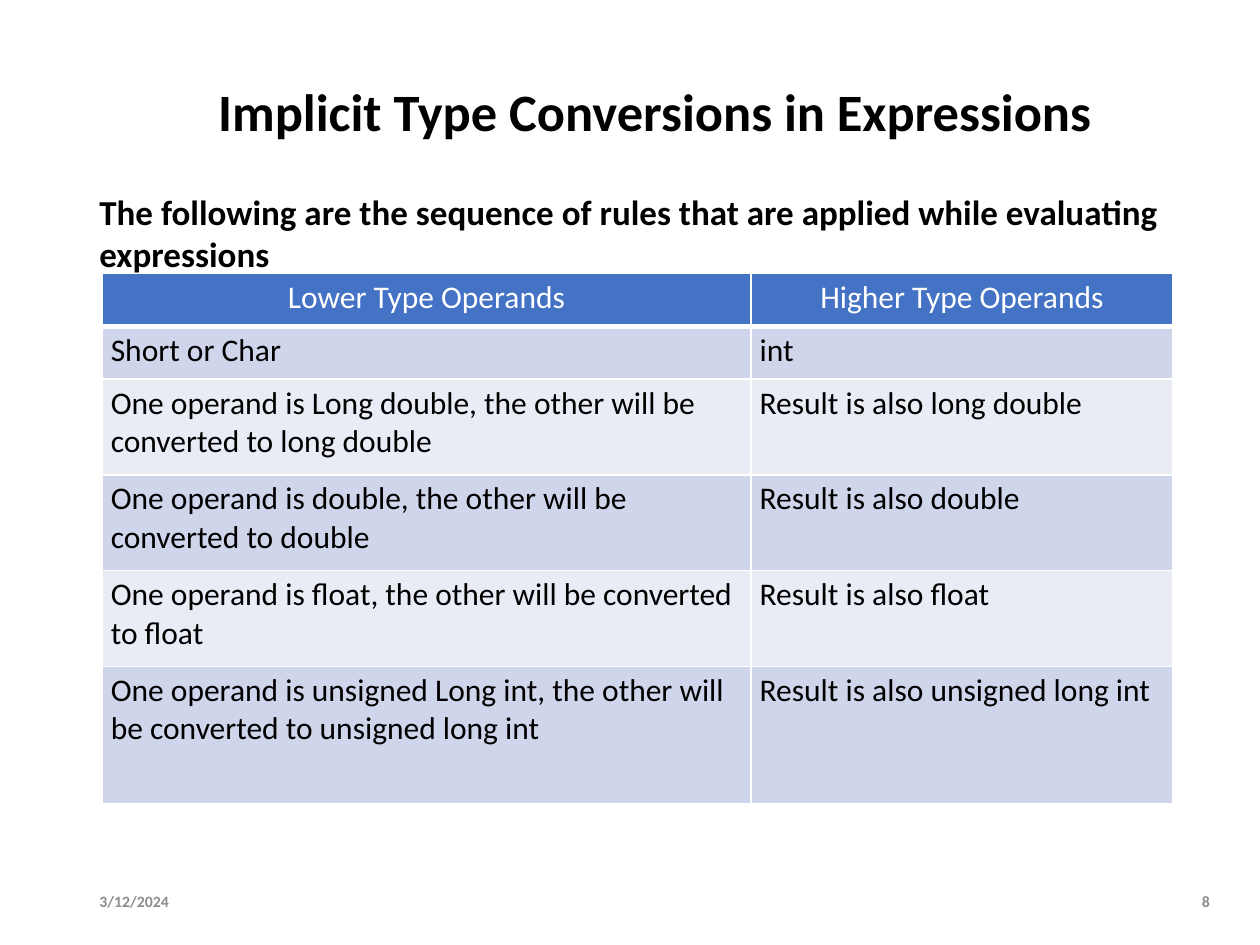
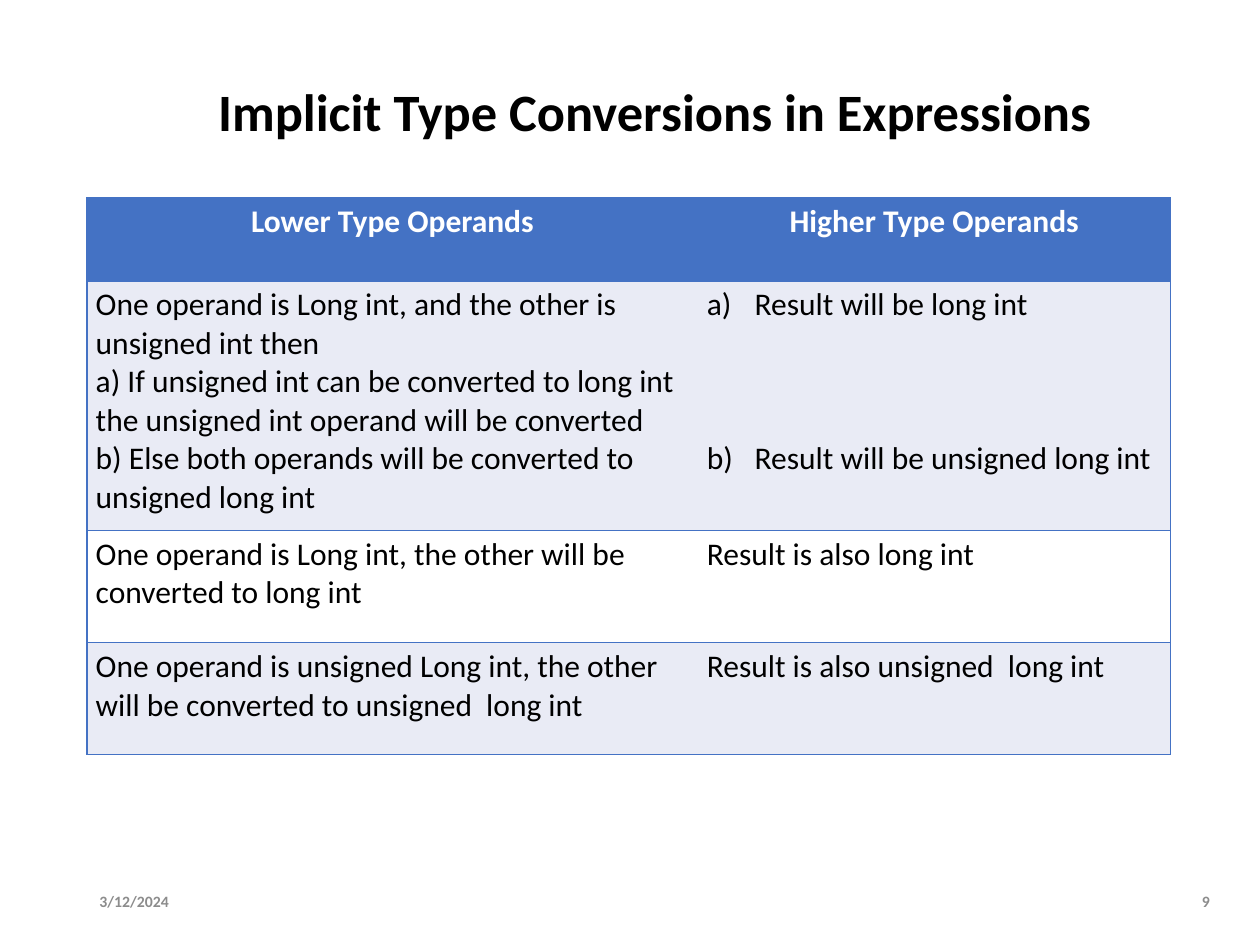
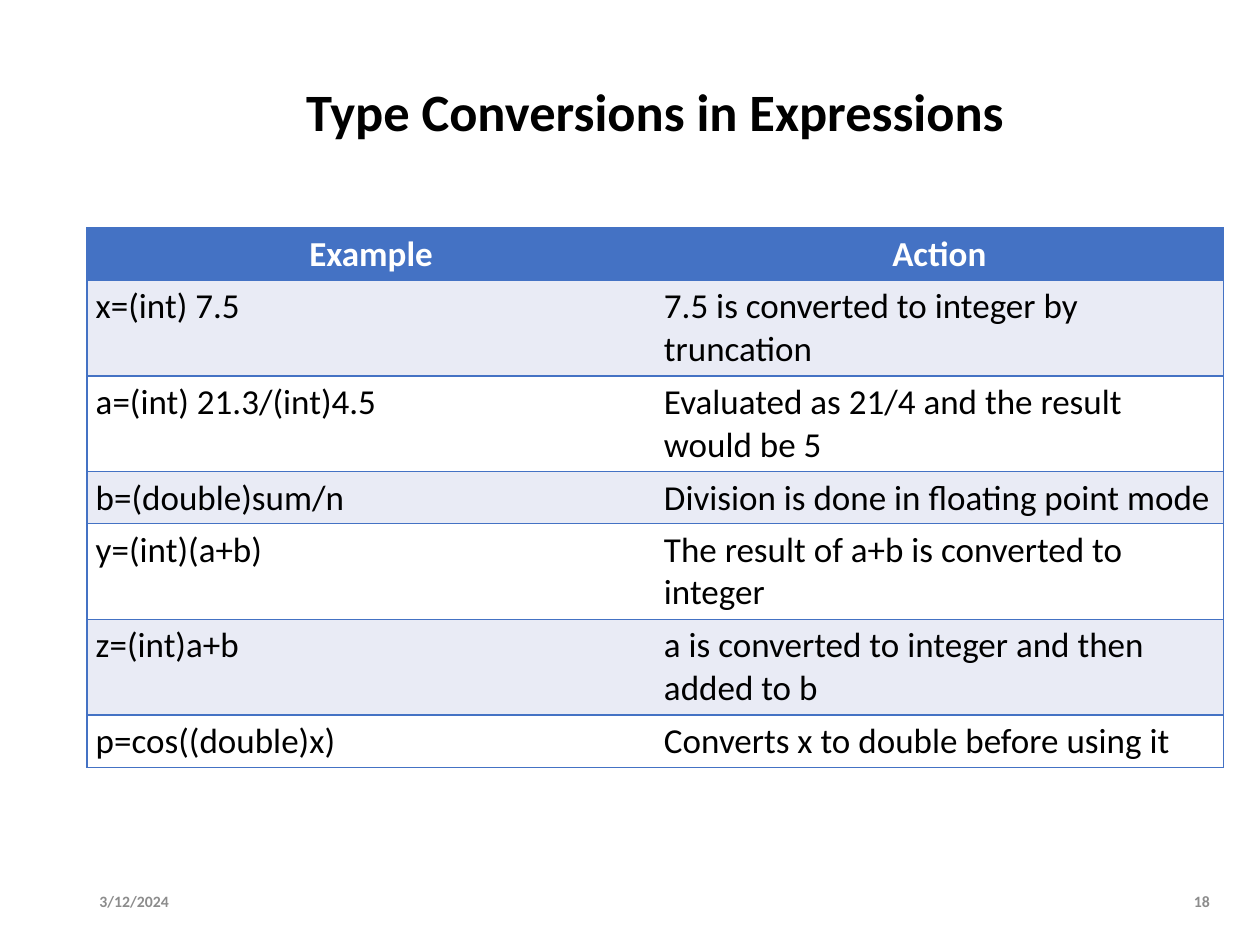
from lxml import etree
from pptx import Presentation
from pptx.dml.color import RGBColor
from pptx.enum import text
from pptx.oxml import ns
from pptx.util import Inches, Pt

FONT = "Calibri"
BLACK = RGBColor(0x00, 0x00, 0x00)
WHITE = RGBColor(0xFF, 0xFF, 0xFF)
GRAY = RGBColor(0x8C, 0x8C, 0x8C)
BLUE = RGBColor(0x44, 0x72, 0xC4)
MID_BLUE = RGBColor(0xCF, 0xD5, 0xEA)
PALE_BLUE = RGBColor(0xE9, 0xEB, 0xF5)

LEFT, CENTER, RIGHT = text.PP_ALIGN.LEFT, text.PP_ALIGN.CENTER, text.PP_ALIGN.RIGHT
DATE = "3/12/2024"

GRID_STYLE = {"bands": (MID_BLUE, PALE_BLUE), "line": WHITE, "inner": True,
              "header_rule": 3, "header_bold": False}
ROWS_STYLE = {"bands": (PALE_BLUE, WHITE), "line": BLUE, "inner": False,
              "header_rule": 1, "header_bold": True}

# A cell is a string, or a list of paragraphs; a tuple of strings is a lettered list.
SLIDES = [
    {
        "title": "Implicit Type Conversions in Expressions",
        "number": "8",
        "intro": "The following are the sequence of rules that are applied while "
                 "evaluating expressions",
        "style": GRID_STYLE, "origin": (0.81, 2.17), "size": 18,
        "columns": [5.15, 3.35],
        "heights": [0.42, 0.42, 0.76, 0.76, 0.76, 1.09],
        "rows": [
            ("Lower Type Operands", "Higher Type Operands"),
            ("Short or Char", "int"),
            ("One operand is Long double, the other will be converted to long double",
             "Result is also long double"),
            ("One operand is double, the other will be converted to double",
             "Result is also double"),
            ("One operand is float, the other will be converted to float",
             "Result is also float"),
            ("One operand is unsigned Long int, the other will be converted to "
             "unsigned long int",
             "Result is also unsigned long int"),
        ],
    },
    {
        "title": "Implicit Type Conversions in Expressions",
        "number": "9",
        "style": ROWS_STYLE, "origin": (0.69, 1.57), "size": 18,
        "columns": [4.85, 3.75],
        "heights": [0.66, 1.98, 0.89, 0.89],
        "rows": [
            ("Lower Type Operands", "Higher Type Operands"),
            (["One operand is Long int, and the other is unsigned int then\n"
              "a) If unsigned int can be converted to long int the unsigned int "
              "operand will be converted",
              "b) Else both operands will be converted to unsigned long int"],
             ("Result will be long int", "Result will be unsigned long int")),
            ("One operand is Long int, the other will be converted to long int",
             "Result is also long int"),
            ("One operand is unsigned Long int, the other will be converted to "
             "unsigned  long int",
             "Result is also unsigned  long int"),
        ],
    },
    {
        "title": "Type Conversions in Expressions",
        "number": "18",
        "style": ROWS_STYLE, "origin": (0.69, 1.81), "size": 20,
        "columns": [4.51, 4.51],
        "heights": [0.41, 0.76, 0.76, 0.41, 0.76, 0.76, 0.41],
        "rows": [
            ("Example", "Action"),
            ("x=(int) 7.5", "7.5 is converted to integer by truncation"),
            ("a=(int) 21.3/(int)4.5", "Evaluated as 21/4 and the result would be 5"),
            ("b=(double)sum/n", "Division is done in floating point mode"),
            ("y=(int)(a+b)", "The result of a+b is converted to integer"),
            ("z=(int)a+b", "a is converted to integer and then added to b"),
            ("p=cos((double)x)", "Converts x to double before using it"),
        ],
    },
]


def write(para, words, size, color, bold=False, align=LEFT):
    """Fill a paragraph; a newline in the words becomes a line break."""
    para.alignment = align
    for index, line in enumerate(words.split("\n")):
        if index:
            para.add_line_break()
        span = para.add_run()
        span.text = line
        span.font.name = FONT
        span.font.size = Pt(size)
        span.font.bold = bold
        span.font.color.rgb = color


def add_text(page, place, words, size, color, align=LEFT,
             anchor=text.MSO_ANCHOR.MIDDLE):
    box = page.shapes.add_textbox(*map(Inches, place))
    frame = box.text_frame
    frame.word_wrap = True
    frame.vertical_anchor = anchor
    write(frame.paragraphs[0], words, size, color, True, align)
    return frame


def letter_item(para):
    """Number a paragraph a), b), ... with a hanging indent."""
    properties = para._p.get_or_add_pPr()
    properties.set("marL", str(Inches(0.38)))
    properties.set("indent", str(-Inches(0.38)))
    etree.SubElement(properties, ns.qn("a:buFont"), typeface="+mj-lt")
    etree.SubElement(properties, ns.qn("a:buAutoNum"), type="alphaLcParenR")


def set_borders(cell, color, widths):
    """Draw the L, R, T and B edges; a width of 0 hides an edge."""
    properties = cell._tc.get_or_add_tcPr()
    for index, (side, width) in enumerate(zip("LRTB", widths)):
        line = etree.Element(ns.qn("a:ln" + side), w=str(Pt(width)))
        properties.insert(index, line)
        if width:
            fill = etree.SubElement(line, ns.qn("a:solidFill"))
            etree.SubElement(fill, ns.qn("a:srgbClr"), val=str(color))
        else:
            etree.SubElement(line, ns.qn("a:noFill"))


def fill_cell(cell, content, size, is_header, header_bold):
    cell.margin_left = cell.margin_right = Inches(0.07)
    cell.margin_top = cell.margin_bottom = Inches(0.04)
    frame = cell.text_frame
    for index, words in enumerate([content] if isinstance(content, str) else content):
        para = frame.add_paragraph() if index else frame.paragraphs[0]
        if is_header:
            write(para, words, size, WHITE, header_bold, CENTER)
        else:
            write(para, words, size, BLACK)
        if isinstance(content, tuple):
            if index:
                para.space_before = Pt(66)  # level with b) in the left column
            letter_item(para)


def add_operand_table(page, slide):
    style, columns, heights = slide["style"], slide["columns"], slide["heights"]
    place = (*slide["origin"], sum(columns), sum(heights))
    table = page.shapes.add_table(len(heights), len(columns),
                                  *map(Inches, place)).table
    for column, width in zip(table.columns, columns):
        column.width = Inches(width)
    last = len(columns) - 1
    for r, (height, contents) in enumerate(zip(heights, slide["rows"])):
        table.rows[r].height = Inches(height)
        for c, content in enumerate(contents):
            cell = table.cell(r, c)
            fill_cell(cell, content, slide["size"], r == 0, style["header_bold"])
            cell.fill.solid()
            cell.fill.fore_color.rgb = style["bands"][(r - 1) % 2] if r else BLUE
            rule = style["header_rule"]
            set_borders(cell, style["line"], (
                int(style["inner"] or c == 0), int(style["inner"] or c == last),
                rule if r == 1 else 1, rule if r == 0 else 1))


def add_page(deck, slide):
    page = deck.slides.add_slide(deck.slide_layouts[6])
    title = add_text(page, (0.69, 0.56, 9.02, 0.69), slide["title"], 30, BLACK, CENTER)
    title.paragraphs[0].line_spacing = 0.9
    add_operand_table(page, slide)
    add_text(page, (0.69, 6.95, 0.95, 0.4), DATE, 9, GRAY)
    add_text(page, (9.31, 6.95, 0.39, 0.4), slide["number"], 9, GRAY, RIGHT)
    if "intro" in slide:
        add_text(page, (0.69, 1.46, 8.89, 0.77), slide["intro"], 20, BLACK,
                 anchor=text.MSO_ANCHOR.TOP)


def main():
    deck = Presentation()
    deck.slide_width, deck.slide_height = Inches(10), Inches(7.5)
    for slide in SLIDES:
        add_page(deck, slide)
    deck.save("out.pptx")


if __name__ == "__main__":
    main()
